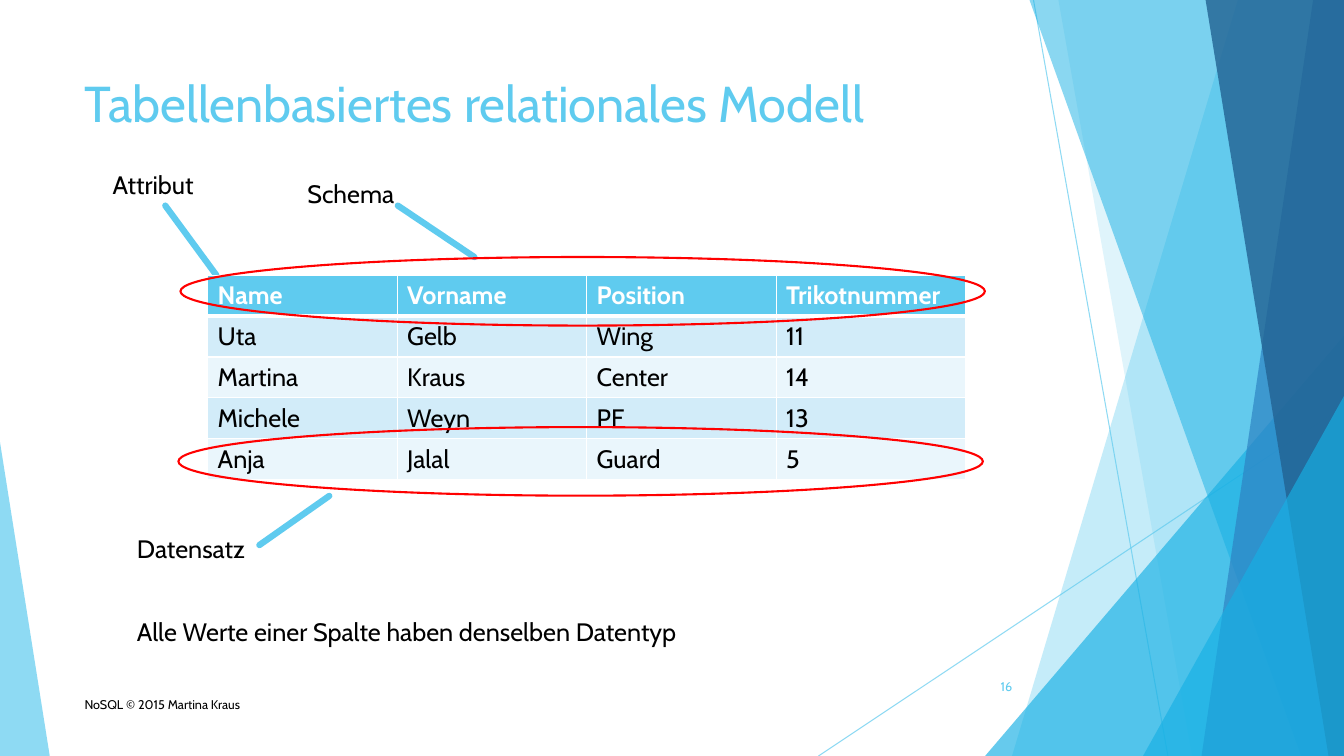
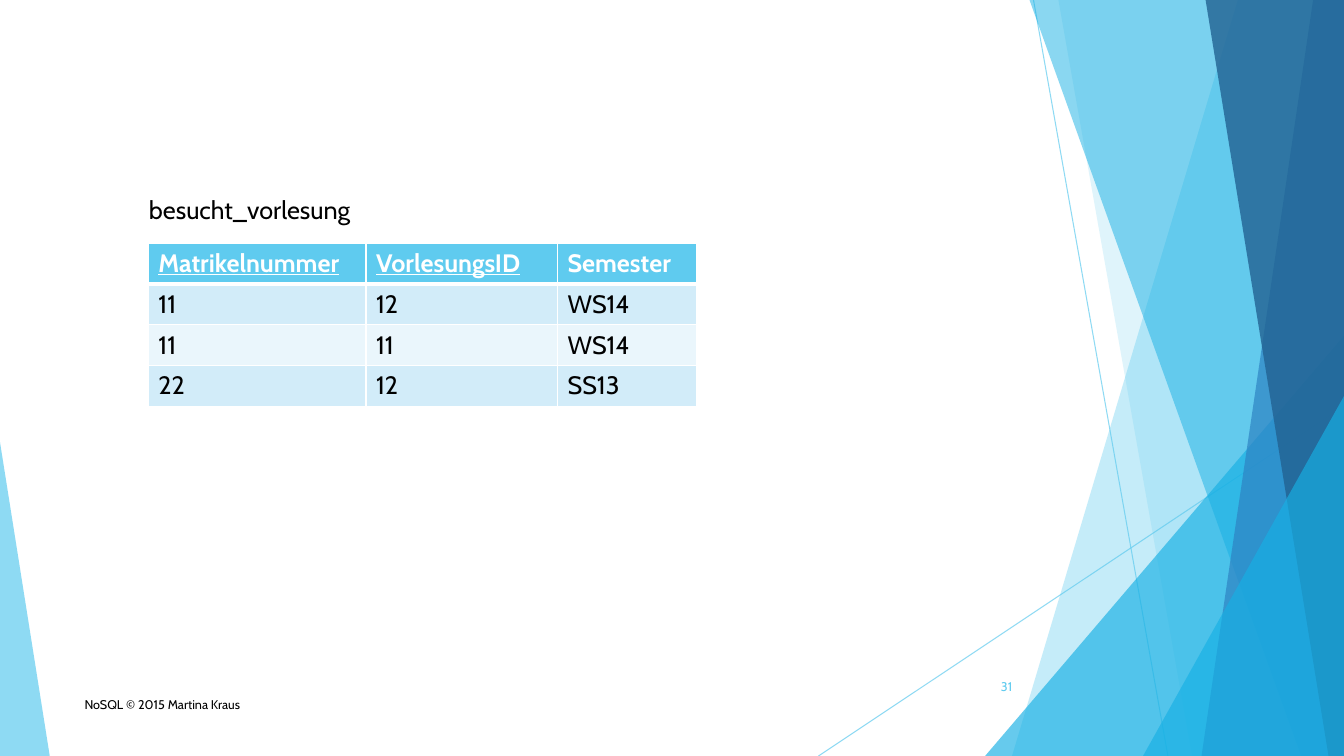
from pptx import Presentation
from pptx.dml.color import RGBColor
from pptx.enum.shapes import MSO_CONNECTOR as Link, MSO_SHAPE as Preset
from pptx.enum.text import MSO_ANCHOR as Anchor, PP_ALIGN as Align
from pptx.oxml.ns import qn
from pptx.util import Inches, Pt
from lxml.etree import SubElement

# Shared look
COLOURS = {
    "sky": "5FCBEF", "cyan": "17B0E4", "blue": "2E83C3", "navy": "226292",
    "odd": "D2ECF9", "even": "EAF6FC",
    "white": "FFFFFF", "black": "000000", "red": "FF0000",
}
RGB = {name: RGBColor.from_string(code) for name, code in COLOURS.items()}
STYLES = {
    "title": ("sky", {"size": Pt(36)}),
    "number": ("sky", {"size": Pt(9)}),
    "footer": ("black", {"size": Pt(9)}),
    "label": ("black", {"size": Pt(18)}),
    "body": ("black", {"size": Pt(18), "bold": False}),
    "header": ("white", {"size": Pt(18), "bold": True}),
    "key": ("white", {"size": Pt(18), "bold": True, "underline": True}),
}
FOOTER = ("NoSQL © 2015 Martina Kraus", "footer", (5.55, 91.5, 51.7, 5.33))

# Background: lines (ends, points, opacity), then bands and triangles back to front
RAYS = [((76.9, 0, 86.9, 100), 0.75, 70), ((100, 53.7, 60.9, 100), 0.75, 70)]
FACETS = [  # colour, opacity, band (top x, bottom x) or triangle (box, apex)
    ("sky", 36, (92.1, 75.3)),
    ("sky", 20, (78.75, 88.7)),
    ("cyan", 66, ((73.3, 44.4, 26.7, 55.6), 1)),
    ("cyan", 50, (76.6, 96.8)),
    ("blue", 70, (97.7, 89.4)),
    ("navy", 80, (89.7, 98.85)),
    ("cyan", 66, ((85.05, 52.4, 14.95, 47.6), 1)),
    ("sky", 70, ((0, 58.5, 3.7, 41.5), 0)),
]

# Content, in hundredths of the slide's width and height
ROW_HEIGHT = 5.41
SLIDES = [
    {
        "number": "16",
        "captions": [
            ("Tabellenbasiertes relationales Modell", "title", (5.55, 8.9, 70.5, 19.2)),
            ("Attribut", "label", (7.65, 21.7, 9.2, 5.33)),
            ("Schema", "label", (22.13, 22.9, 9.2, 5.33)),
            ("Datensatz", "label", (9.45, 69.9, 12, 5.33)),
            ("Alle Werte einer Spalte haben denselben Datentyp", "label",
             (9.45, 80.9, 57.75, 5.33)),
        ],
        "pointers": [(16.1, 36.4, 12.3, 27.2), (35.3, 34, 29.6, 27.2),
                     (24.5, 65.6, 19.3, 72.1)],
        "rings": [(13.43, 34, 59.85, 9.07), (13.28, 56.5, 59.85, 9.07)],
        "corner": (15.45, 36.4),
        "columns": [14.1] * 4,
        "keys": [],
        "records": [
            ("Name", "Vorname", "Position", "Trikotnummer"),
            ("Uta", "Gelb", "Wing", "11"),
            ("Martina", "Kraus", "Center", "14"),
            ("Michele", "Weyn", "PF", "13"),
            ("Anja", "Jalal", "Guard", "5"),
        ],
    },
    {
        "number": "31",
        "captions": [("besucht_vorlesung", "label", (10.35, 25.07, 17.2, 5.33))],
        "pointers": [],
        "rings": [],
        "corner": (11.03, 32.13),
        "columns": [16.2, 14.25, 10.35],
        "keys": ["Matrikelnummer", "VorlesungsID"],
        "records": [
            ("Matrikelnummer", "VorlesungsID", "Semester"),
            ("11", "12", "WS14"),
            ("11", "11", "WS14"),
            ("22", "12", "SS13"),
        ],
    },
]

deck = Presentation()
deck.slide_width, deck.slide_height = Inches(13.33), Inches(7.5)


def place(*shares):
    """Turn alternating x and y shares into slide lengths."""
    sides = (deck.slide_width, deck.slide_height)
    return [round(share * sides[i % 2] / 100) for i, share in enumerate(shares)]


def write(frame, words, style):
    """Put one styled run into a text frame and return its paragraph."""
    colour, formats = STYLES[style]
    paragraph = frame.paragraphs[0]
    run = paragraph.add_run()
    run.text = words
    run.font.name = "Cabin"
    run.font.color.rgb = RGB[colour]
    for attribute, value in formats.items():
        setattr(run.font, attribute, value)
    return paragraph


for content in SLIDES:
    slide = deck.slides.add_slide(deck.slide_layouts[6])
    shapes = slide.shapes

    # Background rays and label pointers
    pointers = [(ends, 4.5, 100) for ends in content["pointers"]]
    for ends, points, opacity in RAYS + pointers:
        ray = shapes.add_connector(Link.STRAIGHT, *place(*ends))
        ray.line.width = Pt(points)
        ray.line.color.rgb = RGB["sky"]
        outline = ray.line._get_or_add_ln()
        outline.set("cap", "rnd")
        tint = outline.find(".//" + qn("a:srgbClr"))
        SubElement(tint, qn("a:alpha")).set("val", str(opacity * 1000))
        SubElement(ray._element.spPr, qn("a:effectLst"))

    # Translucent facets
    for colour, opacity, (start, end) in FACETS:
        if isinstance(start, tuple):
            facet = shapes.add_shape(Preset.ISOSCELES_TRIANGLE, *place(*start))
            facet.adjustments[0] = end
        else:
            outline = shapes.build_freeform(*place(start, 0))
            outline.add_line_segments([place(100, 0), place(100, 100), place(end, 100)])
            facet = outline.convert_to_shape()
        facet.shadow.inherit = False
        facet.line.fill.background()
        facet.fill.solid()
        facet.fill.fore_color.rgb = RGB[colour]
        tint = facet._element.spPr.find(".//" + qn("a:srgbClr"))
        SubElement(tint, qn("a:alpha")).set("val", str(opacity * 1000))

    # Table
    records, widths = content["records"], content["columns"]
    box = place(*content["corner"], sum(widths), ROW_HEIGHT * len(records))
    table = shapes.add_table(len(records), len(widths), *box).table
    for column, width in zip(table.columns, widths):
        column.width = place(width)[0]
    for r, record in enumerate(records):
        table.rows[r].height = place(0, ROW_HEIGHT)[1]
        for c, words in enumerate(record):
            cell = table.cell(r, c)
            style = "body" if r else "key" if words in content["keys"] else "header"
            write(cell.text_frame, words, style)
            for side in "LRTB":
                heavy = (r, side) in [(0, "B"), (1, "T")]
                border = SubElement(cell._tc.get_or_add_tcPr(), qn("a:ln" + side))
                border.set("w", str(Pt(3 if heavy else 1)))
                paint = SubElement(border, qn("a:solidFill"))
                SubElement(paint, qn("a:srgbClr")).set("val", COLOURS["white"])
            cell.fill.solid()
            cell.fill.fore_color.rgb = RGB["sky" if r == 0 else "odd" if r % 2 else "even"]

    # Rings around the schema and one record
    for box in content["rings"]:
        ring = shapes.add_shape(Preset.OVAL, *place(*box))
        ring.shadow.inherit = False
        ring.fill.background()
        ring.line.color.rgb = RGB["red"]
        ring.line.width = Pt(1.5)

    # Title, labels, footer and slide number
    number = (content["number"], "number", (70.4, 88.1, 5.65, 5.33))
    for words, style, box in content["captions"] + [FOOTER, number]:
        frame = shapes.add_textbox(*place(*box)).text_frame
        frame.word_wrap = True
        paragraph = write(frame, words, style)
        if style == "number":
            frame.vertical_anchor = Anchor.MIDDLE
            paragraph.alignment = Align.RIGHT

deck.save("out.pptx")
